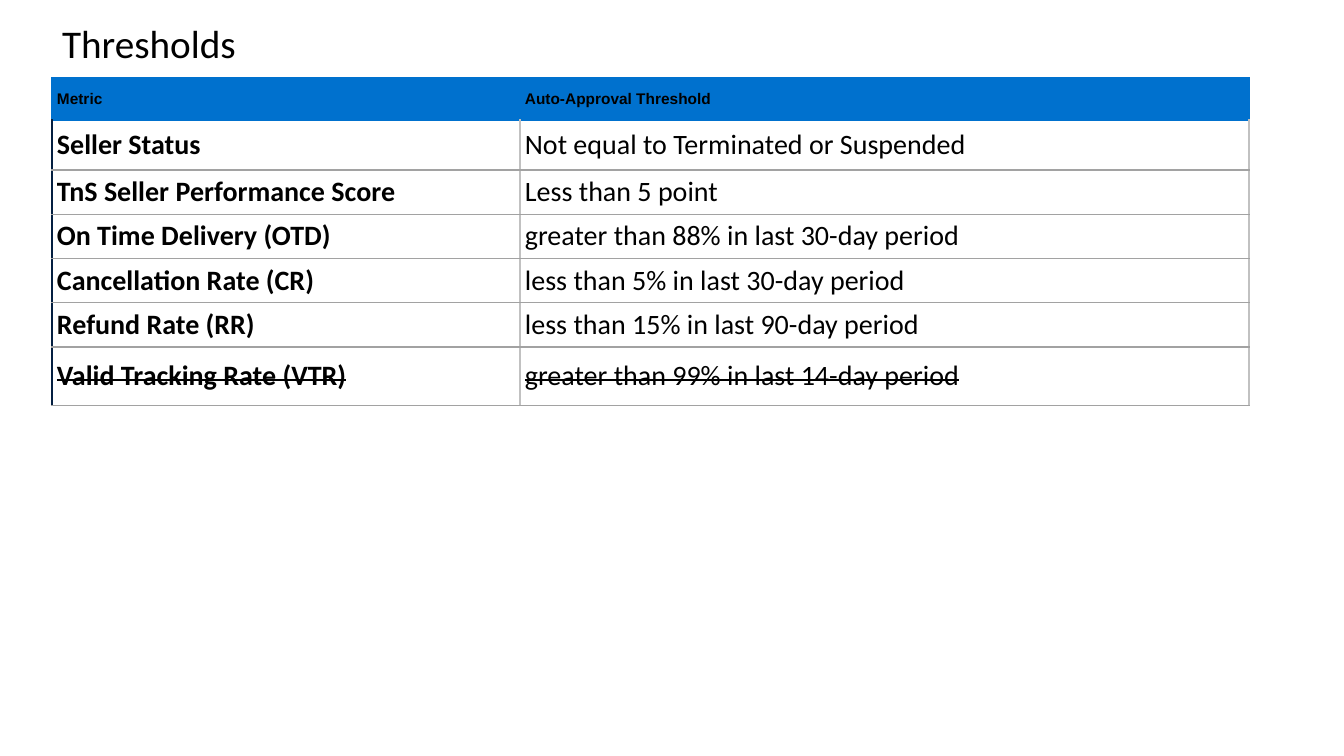
from lxml import etree
from pptx import Presentation
from pptx.dml.color import RGBColor
from pptx.enum.text import MSO_ANCHOR, MSO_AUTO_SIZE, PP_ALIGN
from pptx.oxml.ns import qn
from pptx.util import Emu, Pt

TOP, MIDDLE = MSO_ANCHOR.TOP, MSO_ANCHOR.MIDDLE
LEFT = PP_ALIGN.LEFT
NO_AUTOFIT = MSO_AUTO_SIZE.NONE
TITLE_ONLY = 5
EMU_PER_PX = 914400 / 100.8

COLORS = {
    "text": "000000",
    "header": "0071CE",
    "outer_left": "041F41",
    "row_rule": "A2A2A2",
    "column_rule": "C1C1C1",
}
TITLE_BOX = (52, 20, 1159, 92)
TABLE_BOX = (52, 78, 1197, 327)
COLUMN_WIDTHS = (468, 729)
CELL_INSET = 5

HEADINGS = ("Metric", "Auto-Approval Threshold")
# metric, threshold, row height, struck out
METRICS = [
    ("Seller Status", "Not equal to Terminated or Suspended", 50, False),
    ("TnS Seller Performance Score", "Less than 5 point", 44, False),
    ("On Time Delivery (OTD)", "greater than 88% in last 30-day period", 44, False),
    ("Cancellation Rate (CR)", "less than 5% in last 30-day period", 44, False),
    ("Refund Rate (RR)", "less than 15% in last 90-day period", 44, False),
    ("Valid Tracking Rate (VTR)", "greater than 99% in last 14-day period", 59, True),
]
HEADER_HEIGHT = 42


def px(length):
    return Emu(round(length * EMU_PER_PX))


def add_run(paragraph, text, size, font="Calibri", bold=False, struck=False):
    run = paragraph.add_run()
    run.text = text
    run.font.name = font
    run.font.size = Pt(size)
    run.font.bold = bold
    run.font.color.rgb = RGBColor.from_string(COLORS["text"])
    if struck:
        run._r.get_or_add_rPr().set("strike", "sngStrike")


def set_borders(cell, left, right, top, bottom):
    """Draw 1 pt cell borders; the schema wants them ahead of the fill."""
    properties = cell._tc.get_or_add_tcPr()
    sides = zip(("lnL", "lnR", "lnT", "lnB"), (left, right, top, bottom))
    for position, (side, color) in enumerate(sides):
        border = etree.Element(qn(f"a:{side}"), w=str(Pt(1)))
        fill = etree.SubElement(border, qn("a:solidFill"))
        etree.SubElement(fill, qn("a:srgbClr"), val=COLORS[color])
        properties.insert(position, border)


def fill_cell(cell, text, size, **style):
    cell.vertical_anchor = MIDDLE
    cell.margin_left = cell.margin_right = px(CELL_INSET)
    cell.margin_top = cell.margin_bottom = px(CELL_INSET)
    paragraph = cell.text_frame.paragraphs[0]
    paragraph.alignment = LEFT
    add_run(paragraph, text, size, **style)


def add_title(slide, box):
    title = slide.shapes.title
    title.left, title.top, title.width, title.height = map(px, box)
    frame = title.text_frame
    frame.word_wrap = True
    frame.auto_size = NO_AUTOFIT
    frame.vertical_anchor = TOP
    paragraph = frame.paragraphs[0]
    paragraph.alignment = LEFT
    paragraph.line_spacing = 0.9
    add_run(paragraph, "Thresholds", 28)


def add_threshold_table(slide, box):
    table = slide.shapes.add_table(
        len(METRICS) + 1, len(COLUMN_WIDTHS), *map(px, box)).table
    table.first_row = table.horz_banding = False
    for column, width in zip(table.columns, COLUMN_WIDTHS):
        column.width = px(width)

    table.rows[0].height = px(HEADER_HEIGHT)
    for cell, heading in zip(table.rows[0].cells, HEADINGS):
        fill_cell(cell, heading, 11, font="Arial", bold=True)
        cell.fill.solid()
        cell.fill.fore_color.rgb = RGBColor.from_string(COLORS["header"])
        set_borders(cell, *["header"] * 4)

    for index, (metric, threshold, height, struck) in enumerate(METRICS, 1):
        table.rows[index].height = px(height)
        top = "header" if index == 1 else "row_rule"
        for column, text in enumerate((metric, threshold)):
            first = column == 0
            cell = table.cell(index, column)
            fill_cell(cell, text, 20, bold=first, struck=struck)
            cell.fill.background()
            set_borders(cell, "outer_left" if first else "column_rule",
                        "column_rule", top, "row_rule")


def main():
    presentation = Presentation()
    presentation.slide_width, presentation.slide_height = px(1344), px(756)
    slide = presentation.slides.add_slide(presentation.slide_layouts[TITLE_ONLY])
    add_title(slide, TITLE_BOX)
    add_threshold_table(slide, TABLE_BOX)
    presentation.save("out.pptx")


if __name__ == "__main__":
    main()
